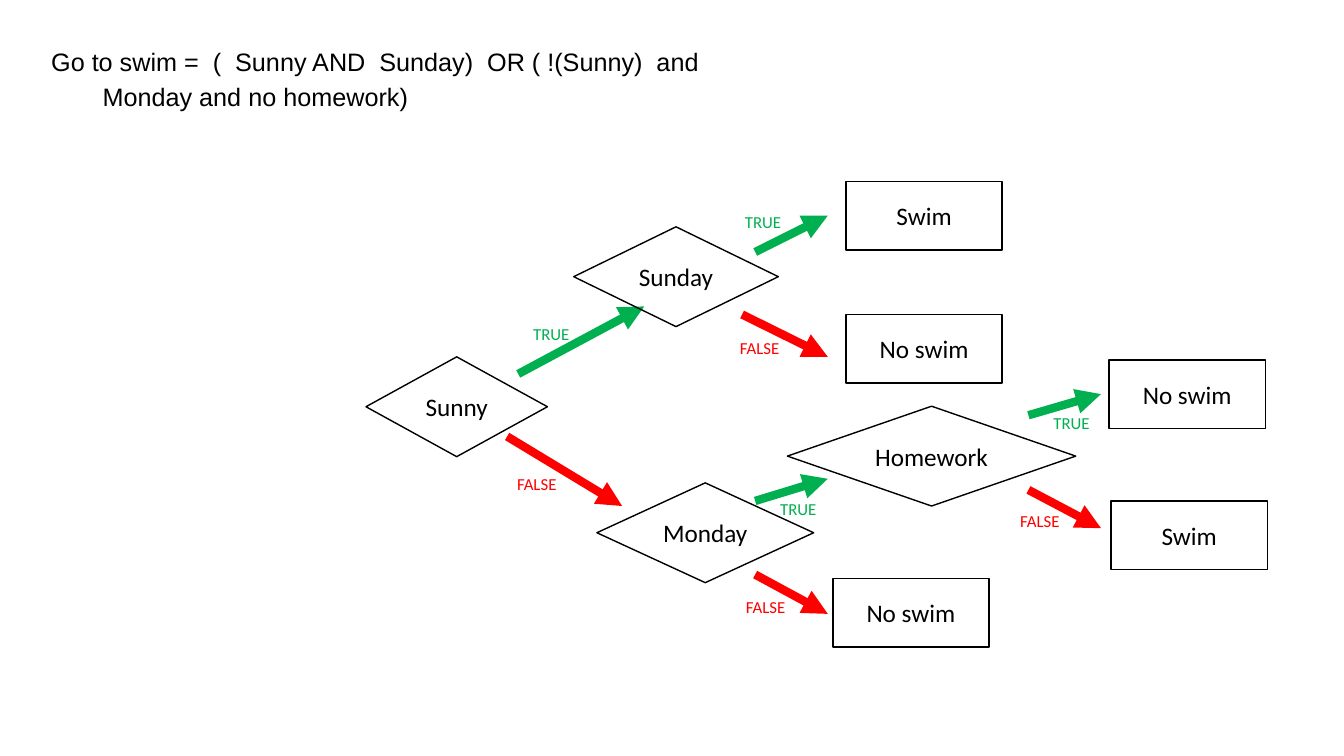
import pptx
import pptx.util
import pptx.dml.color
import pptx.enum.shapes
import pptx.enum.text
import pptx.oxml.ns
import lxml.etree

Inches, Pt = pptx.util.Inches, pptx.util.Pt
SHAPE = pptx.enum.shapes.MSO_SHAPE
COLORS = {"ink": "000000", "TRUE": "00B050", "FALSE": "FF0000"}

deck = pptx.Presentation()
deck.slide_width, deck.slide_height = Inches(13.33), Inches(7.5)
slide = deck.slides.add_slide(deck.slide_layouts[6])


def color(name):
    return pptx.dml.color.RGBColor.from_string(COLORS[name])


def write(frame, text, size, font, color_name):
    paragraph = frame.paragraphs[0]
    paragraph.text = text
    run_font = paragraph.runs[0].font
    run_font.size, run_font.name = Pt(size), font
    run_font.color.rgb = color(color_name)
    return paragraph


# Boolean expression with a hanging indent
expression = slide.shapes.add_textbox(Inches(0.41), Inches(0.37), Inches(6.67), Inches(0.77))
expression.text_frame.word_wrap = True
formula = write(expression.text_frame,
                "Go to swim =  (  Sunny AND  Sunday)  OR ( !(Sunny)  and Monday and no homework)",
                18, "Arial", "ink")
formula.line_spacing = 1.15
indent = formula._p.get_or_add_pPr()
indent.set("marL", str(Inches(0.51)))
indent.set("indent", str(-Inches(0.51)))

# Branches: outcome, arrow start, arrow end, label corner
branches = [
    ("TRUE", (5.14, 3.71), (6.39, 3.04), (5.19, 3.16)),
    ("FALSE", (5.03, 4.33), (6.17, 5.02), (5.03, 4.65)),
    ("TRUE", (7.49, 2.5), (8.21, 2.14), (7.29, 2.05)),
    ("FALSE", (7.36, 3.12), (8.21, 3.54), (7.24, 3.3)),
    ("TRUE", (7.49, 4.97), (8.21, 4.75), (7.64, 4.9)),
    ("FALSE", (7.49, 5.7), (8.21, 6.09), (7.3, 5.87)),
    ("TRUE", (10.2, 4.12), (10.92, 3.91), (10.35, 4.05)),
    ("FALSE", (10.2, 4.86), (10.92, 5.24), (10.02, 5.02)),
]
label_widths = {"TRUE": 0.57, "FALSE": 0.66}
for outcome, start, end, corner in branches:
    arrow = slide.shapes.add_connector(pptx.enum.shapes.MSO_CONNECTOR.STRAIGHT,
                                       *map(Inches, start + end))
    arrow.line.color.rgb = color(outcome)
    arrow.line.width = Pt(6)
    lxml.etree.SubElement(arrow.line._get_or_add_ln(),
                          pptx.oxml.ns.qn("a:tailEnd"), type="triangle")
    lxml.etree.SubElement(arrow._element.spPr, pptx.oxml.ns.qn("a:effectLst"))

    label = slide.shapes.add_textbox(*map(Inches, corner),
                                     Inches(label_widths[outcome]), Inches(0.3))
    label.text_frame.word_wrap = False
    write(label.text_frame, outcome, 12, "Calibri", outcome)

# Decisions (diamonds) and results (boxes): text, left, top, width
decisions = [("Sunny", 3.63, 3.54, 1.8), ("Sunday", 5.69, 2.25, 2.03),
             ("Monday", 5.92, 4.79, 2.15), ("Homework", 7.81, 4.03, 2.86)]
results = [("Swim", 8.39, 1.8, 1.55), ("No swim", 8.39, 3.12, 1.55),
           ("No swim", 8.26, 5.74, 1.55), ("No swim", 11, 3.57, 1.55),
           ("Swim", 11.02, 4.97, 1.55)]
for outline, height, nodes in [(SHAPE.FLOWCHART_DECISION, 0.99, decisions),
                               (SHAPE.RECTANGLE, 0.68, results)]:
    for text, left, top, width in nodes:
        node = slide.shapes.add_shape(outline, *map(Inches, (left, top, width, height)))
        node.shadow.inherit = False
        node.fill.background()
        node.line.color.rgb = color("ink")
        node.line.width = Pt(1)
        node.text_frame.vertical_anchor = pptx.enum.text.MSO_ANCHOR.MIDDLE
        caption = write(node.text_frame, text, 18, "Calibri", "ink")
        caption.alignment = pptx.enum.text.PP_ALIGN.CENTER

deck.save("out.pptx")
